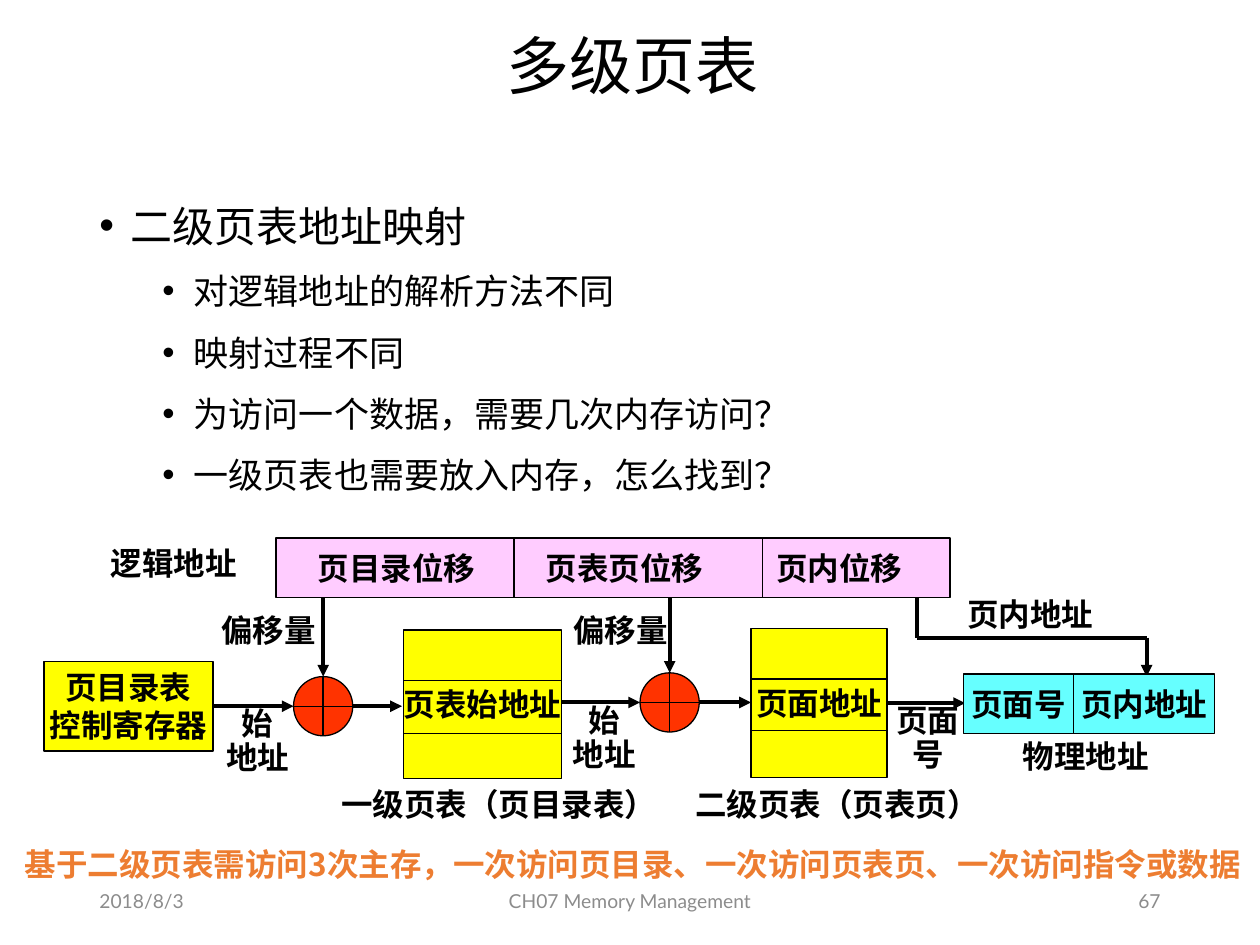
from dataclasses import dataclass
from itertools import pairwise

from lxml.etree import SubElement
from pptx import Presentation
from pptx.dml.color import RGBColor
from pptx.enum.shapes import MSO_CONNECTOR, MSO_SHAPE
from pptx.enum.text import MSO_ANCHOR, PP_ALIGN
from pptx.oxml.ns import qn
from pptx.util import Inches, Pt

COLORS = {
    "black": "000000", "gray": "8C8C8C", "orange": "ED7D31", "pink": "FFCCFF",
    "yellow": "FFFF00", "cyan": "66FFFF", "red": "FF3300",
}
CJK_FONT = "Noto Sans CJK SC"
LEFT, CENTER, RIGHT = PP_ALIGN.LEFT, PP_ALIGN.CENTER, PP_ALIGN.RIGHT

presentation = Presentation()
presentation.slide_width, presentation.slide_height = Inches(10), Inches(7.5)
slide = presentation.slides.add_slide(presentation.slide_layouts[6])

# The slide is a grid of 100 columns by 75 rows
COLUMN = presentation.slide_width // 100
ROW = presentation.slide_height // 75


@dataclass
class Area:
    column: float
    row: float
    columns: float
    rows: float

    def lengths(self) -> tuple[int, int, int, int]:
        return (round(self.column * COLUMN), round(self.row * ROW),
                round(self.columns * COLUMN), round(self.rows * ROW))


@dataclass
class Style:
    size: float = 18
    font: str = "Calibri"
    color: str = "black"
    bold: bool = True
    align: PP_ALIGN = LEFT
    spacing: float = 1.0
    anchor: MSO_ANCHOR = MSO_ANCHOR.TOP
    wrap: bool = True


@dataclass
class PageTable:
    area: Area
    entry: str
    dividers: tuple[float, float]
    caption: str
    caption_area: Area


LABEL = Style()
STACKED = Style(align=CENTER, spacing=0.9)
BOXED = Style(align=CENTER, anchor=MSO_ANCHOR.MIDDLE, wrap=False)
FIELD = Style(anchor=MSO_ANCHOR.MIDDLE, wrap=False)


def style_paragraph(paragraph, style: Style) -> None:
    paragraph.alignment = style.align
    paragraph.line_spacing = style.spacing
    font = paragraph.font
    font.size, font.bold, font.name = Pt(style.size), style.bold, style.font
    font.color.rgb = RGBColor.from_string(COLORS[style.color])
    east_asian = SubElement(font._element, qn("a:ea"))
    east_asian.set("typeface", CJK_FONT)


def write(shape, text: str, style: Style) -> None:
    frame = shape.text_frame
    frame.word_wrap = style.wrap
    frame.vertical_anchor = style.anchor
    frame.text = text
    for paragraph in frame.paragraphs:
        style_paragraph(paragraph, style)


def add_label(area: Area, text: str, style: Style = LABEL) -> None:
    write(slide.shapes.add_textbox(*area.lengths()), text, style)


def add_box(area: Area, color: str, text: str = "", style: Style = BOXED,
            kind: MSO_SHAPE = MSO_SHAPE.RECTANGLE, inset: float = 0) -> None:
    shape = slide.shapes.add_shape(kind, *area.lengths())
    shape.shadow.inherit = False
    shape.fill.solid()
    shape.fill.fore_color.rgb = RGBColor.from_string(COLORS[color])
    shape.line.color.rgb = RGBColor.from_string(COLORS["black"])
    shape.line.width = Pt(0.75)
    if text:
        shape.text_frame.margin_left = round(inset * COLUMN)
        shape.text_frame.margin_right = 0
        write(shape, text, style)


def add_line(*points: tuple[float, float], width: float = 2.25, arrow: bool = True) -> None:
    """Join the grid points, with an arrowhead at the last one if wanted."""
    for (x1, y1), (x2, y2) in pairwise(points):
        line = slide.shapes.add_connector(
            MSO_CONNECTOR.STRAIGHT, round(x1 * COLUMN), round(y1 * ROW),
            round(x2 * COLUMN), round(y2 * ROW))
        line.line.color.rgb = RGBColor.from_string(COLORS["black"])
        line.line.width = Pt(width)
        if arrow and (x2, y2) == points[-1]:
            SubElement(line.line._get_or_add_ln(), qn("a:tailEnd")).set("type", "triangle")
        SubElement(line._element.spPr, qn("a:effectLst"))


def add_page_table(table: PageTable) -> None:
    area = table.area
    add_box(area, "yellow", table.entry)
    for row in table.dividers:
        add_line((area.column, row), (area.column + area.columns, row), width=0.75, arrow=False)
    add_label(table.caption_area, table.caption)


def add_bullets(area: Area, items: list[tuple[int, str]]) -> None:
    frame = slide.shapes.add_textbox(*area.lengths()).text_frame
    frame.word_wrap = True
    for index, (level, text) in enumerate(items):
        paragraph = frame.paragraphs[0] if index == 0 else frame.add_paragraph()
        paragraph.text = text
        paragraph.level = level
        if index:
            paragraph.space_before = Pt(5)
        properties = paragraph._p.get_or_add_pPr()
        properties.set("marL", str(Inches(0.25 + 0.5 * level)))
        properties.set("indent", str(Inches(-0.25)))
        SubElement(properties, qn("a:buFont")).set("typeface", "Arial")
        SubElement(properties, qn("a:buChar")).set("char", "•")
        style_paragraph(paragraph, Style(24 - 4 * level, CJK_FONT, bold=False, spacing=1.25))


# Title and bullets
add_label(Area(7.1, 1.7, 86.2, 7.6), "多级页表",
          Style(36, CJK_FONT, bold=False, align=CENTER, spacing=0.9, anchor=MSO_ANCHOR.MIDDLE))
add_bullets(Area(6.9, 14.4, 86.2, 26), [
    (0, "二级页表地址映射"),
    (1, "对逻辑地址的解析方法不同"),
    (1, "映射过程不同"),
    (1, "为访问一个数据，需要几次内存访问？"),
    (1, "一级页表也需要放入内存，怎么找到？"),
])

# Logical address with its three fields
add_label(Area(7.8, 42.7, 14.2, 4), "逻辑地址")
for column, columns, inset, text in [
    (21.9, 18.9, 3.3, "页目录位移"), (40.8, 19.7, 2.5, "页表页位移"), (60.5, 14.9, 1.1, "页内位移"),
]:
    add_box(Area(column, 42.7, columns, 4.7), "pink", text, FIELD, inset=inset)

# Directory register
add_box(Area(3.5, 52.5, 13.4, 7.1), "yellow", "页目录表\n控制寄存器")

# Offsets and base addresses meet in an adder, which points into a page table
for left, top, base_start, table_edge, offset_column in [
    (23.3, 53.7, 17, 31.9, 16.6), (50.8, 53.4, 44.6, 59.6, 44.5),
]:
    middle = top + 2.35
    add_line((left + 2.35, 47.4), (left + 2.35, top))
    add_label(Area(offset_column, 48, 10, 4), "偏移量")
    add_line((base_start, middle), (left, middle))
    add_label(Area(left - 7.2, middle - 0.3, 8.7, 6.4), "始\n地址", STACKED)
    add_box(Area(left, top, 4.7, 4.7), "red", kind=MSO_SHAPE.FLOWCHART_OR)
    add_line((left + 4.7, middle), (table_edge, middle))

# Page tables
for page_table in [
    PageTable(Area(32, 50, 12.6, 11.8), "页表始地址", (54, 58.2),
              "一级页表（页目录表）", Area(26.1, 61.8, 27.6, 4)),
    PageTable(Area(59.6, 49.9, 10.8, 11.8), "页面地址", (53.9, 58),
              "二级页表（页表页）", Area(54.2, 61.8, 26, 4)),
]:
    add_page_table(page_table)

# Physical address
add_line((70.3, 55.8), (76.6, 55.8))
add_label(Area(69.3, 55.5, 8.7, 6.4), "页面\n号", STACKED)
add_line((72.8, 47.4), (72.8, 50.6), (91, 50.6), (91, 53.7))
add_label(Area(75.8, 46.7, 12.6, 4), "页内地址")
for column, columns, text in [(76.5, 8.7, "页面号"), (85.2, 11.2, "页内地址")]:
    add_box(Area(column, 53.5, columns, 4.7), "cyan", text)
add_label(Area(80.2, 58, 13.4, 4), "物理地址")

# Conclusion, on one line across the full width
add_label(Area(1, 66.4, 102.6, 4.2),
          "基于二级页表需访问3次主存，一次访问页目录、一次访问页表页、一次访问指令或数据",
          Style(font=CJK_FONT, color="orange", spacing=1.05))

# Footer
for column, columns, align, text in [
    (6.9, 22.5, LEFT, "2018/8/3"), (33.1, 33.8, CENTER, "CH07 Memory Management"),
    (70.6, 22.5, RIGHT, "67"),
]:
    add_label(Area(column, 69.5, columns, 4), text,
              Style(11, "Lato", "gray", False, align, anchor=MSO_ANCHOR.MIDDLE))

presentation.save("out.pptx")
